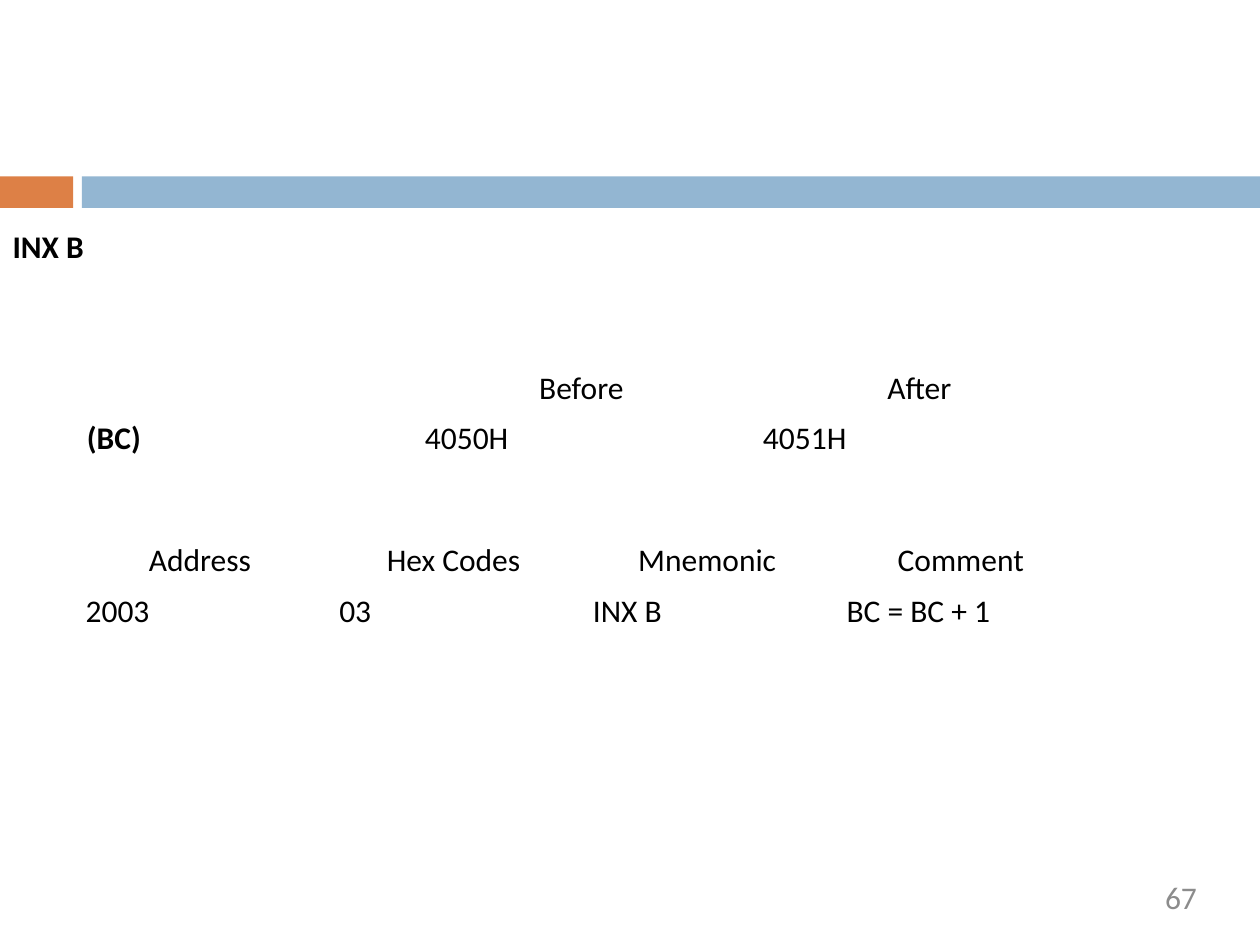
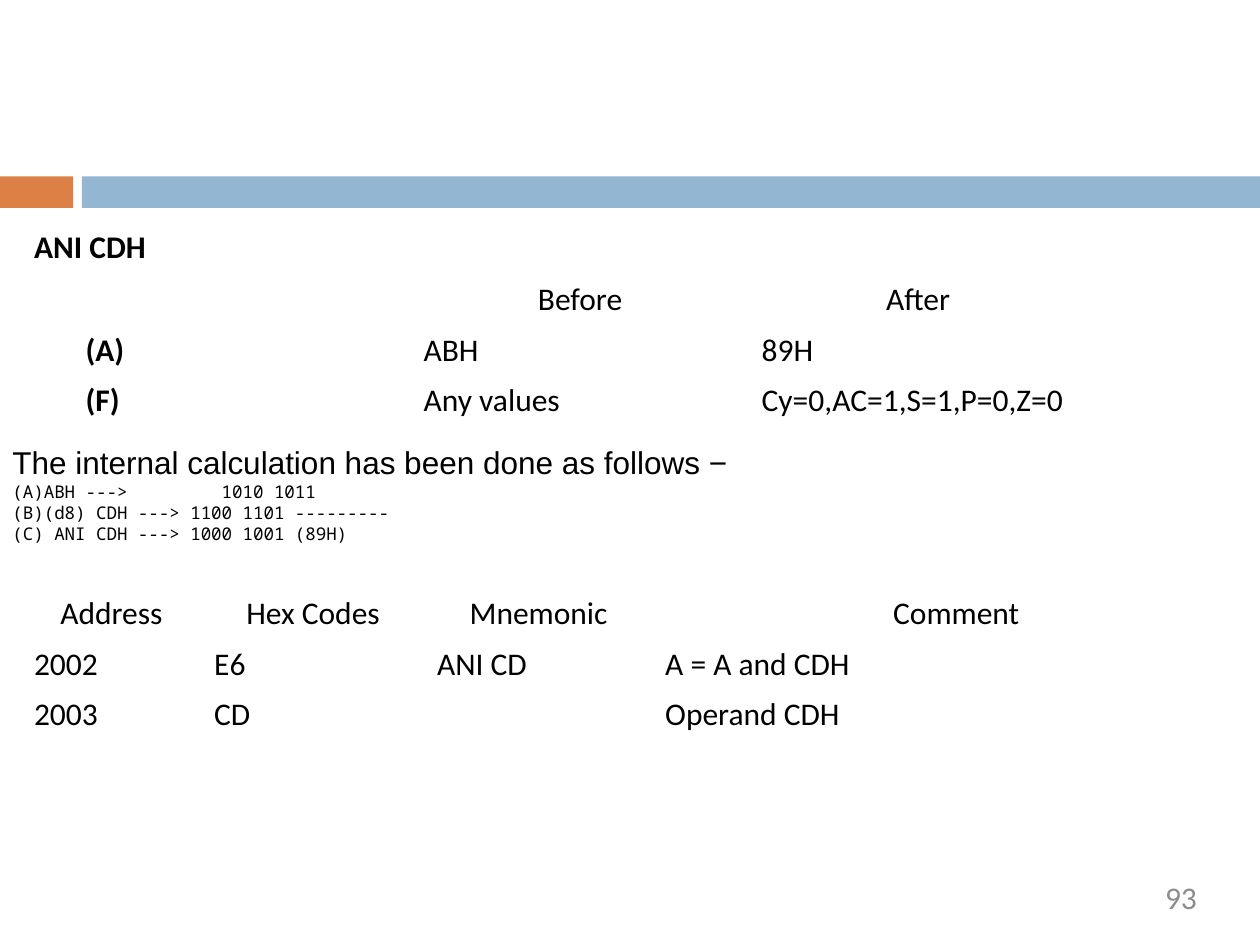
from dataclasses import dataclass

from lxml import etree
from pptx import Presentation
from pptx.dml.color import RGBColor as Color
from pptx.enum.shapes import MSO_SHAPE as Shape
from pptx.enum.text import MSO_ANCHOR as Anchor, MSO_AUTO_SIZE as AutoSize, PP_ALIGN as Align
from pptx.oxml.ns import qn
from pptx.util import Inches, Pt


@dataclass(frozen=True)
class Theme:
    orange: str = "DD8046"
    blue: str = "93B6D2"
    black: str = "000000"
    grey: str = "8C8C8C"
    body_font: str = "Calibri"
    note_font: str = "Arial"
    code_font: str = "Noto Sans Mono"
    body_size: int = 18
    code_size: int = 10


def apply(target, values):
    for name, value in values.items():
        setattr(target, name, value)


class DeckBuilder:
    """Places elements on a grid of 100 columns by 75 rows."""

    COLUMNS, ROWS = 100, 75
    TABLE_ROW = 4  # height of one table row, in grid rows

    def __init__(self, theme):
        self.theme = theme
        self.presentation = Presentation()
        apply(self.presentation, {"slide_width": Inches(10), "slide_height": Inches(7.5)})
        self.slide = None

    def box(self, left, top, width, height):
        column = self.presentation.slide_width / self.COLUMNS
        row = self.presentation.slide_height / self.ROWS
        return [round(value) for value in
                (left * column, top * row, width * column, height * row)]

    def add_text(self, paragraph, text, align=Align.LEFT, font=None, size=None, color=None, bold=False):
        theme = self.theme
        paragraph.alignment = align
        run = paragraph.add_run()
        run.text = text
        apply(run.font, {"name": font or theme.body_font,
                         "size": Pt(size or theme.body_size), "bold": bold})
        run.font.color.rgb = Color.from_string(color or theme.black)

    def start_slide(self, title, title_left, title_width, number):
        layout = self.presentation.slide_layouts.get_by_name("Title Only")
        self.slide = self.presentation.slides.add_slide(layout)
        self.band(0, 5.8, self.theme.orange)
        self.band(6.5, 93.5, self.theme.blue)
        self.title(title, title_left, title_width)
        self.page_number(number)

    def band(self, left, width, color):
        shape = self.slide.shapes.add_shape(Shape.RECTANGLE, *self.box(left, 14, width, 2.5))
        shape.shadow.inherit = False
        shape.fill.solid()
        shape.fill.fore_color.rgb = Color.from_string(color)
        shape.line.fill.background()

    def title(self, text, left, width):
        shape = self.slide.shapes.title
        apply(shape, dict(zip(("left", "top", "width", "height"),
                              self.box(left, 17.5, width, 4))))
        apply(shape.text_frame, {"word_wrap": False, "auto_size": AutoSize.NONE,
                                 "vertical_anchor": Anchor.TOP})
        self.add_text(shape.text_frame.paragraphs[0], text, bold=True)

    def text_frame(self, area, **values):
        frame = self.slide.shapes.add_textbox(*self.box(*area)).text_frame
        apply(frame, values)
        return frame

    def page_number(self, number):
        frame = self.text_frame((72, 69.7, 23, 3.8), word_wrap=True, margin_left=0,
                                margin_top=0, margin_right=0, margin_bottom=0)
        self.add_text(frame.paragraphs[0], str(number), Align.RIGHT, color=self.theme.grey)

    def table(self, left, top, widths, rows, bold_labels=False):
        area = self.box(left, top, sum(widths), self.TABLE_ROW * len(rows))
        table = self.slide.shapes.add_table(len(rows), len(widths), *area).table
        apply(table, {"first_row": False, "horz_banding": False})
        for column, width in zip(table.columns, widths):
            column.width = self.box(0, 0, width, 0)[2]
        for row_index, row in enumerate(rows):
            for column_index, text in enumerate(row):
                cell = table.cell(row_index, column_index)
                cell.fill.background()
                cell.vertical_anchor = Anchor.MIDDLE
                if text:
                    self.add_text(cell.text_frame.paragraphs[0], text,
                                  Align.LEFT if row_index else Align.CENTER,
                                  bold=bold_labels and column_index == 0)

    def lettered_code(self, area, intro, lines):
        theme = self.theme
        frame = self.text_frame(area, word_wrap=False, vertical_anchor=Anchor.MIDDLE)
        self.add_text(frame.paragraphs[0], intro, font=theme.note_font)
        for line in lines:
            paragraph = frame.add_paragraph()
            properties = paragraph._p.get_or_add_pPr()
            properties.set("marL", str(Inches(0.25)))
            properties.set("indent", str(-Inches(0.25)))
            bullet = etree.SubElement(properties, qn("a:buAutoNum"))
            bullet.set("type", "alphaUcParenBoth")
            self.add_text(paragraph, line, font=theme.code_font, size=theme.code_size)


def main():
    deck = DeckBuilder(Theme())
    state_header = ("", "Before", "After")
    program_header = ("Address", "Hex Codes", "Mnemonic", "Comment")
    state_widths = [26.83] * 3

    # Increment a register pair
    deck.start_slide("INX B", 0, 8.3, 67)
    deck.table(5.9, 28.8, state_widths,
               [state_header, ("(BC)", "4050H", "4051H")], bold_labels=True)
    deck.table(5.8, 42.5, [20.13] * 4,
               [program_header, ("2003", "03", "INX B", "BC = BC + 1")])

    # AND with immediate data
    deck.start_slide("ANI CDH", 1.7, 11.6, 93)
    deck.table(5.8, 21.8, state_widths,
               [state_header, ("(A)", "ABH", "89H"),
                ("(F)", "Any values", "Cy=0,AC=1,S=1,P=0,Z=0")], bold_labels=True)
    deck.lettered_code((0, 34.6, 59.3, 9.1),
                       "The internal calculation has been done as follows −",
                       ["ABH --->         1010 1011",
                        "(d8) CDH ---> 1100 1101 ---------",
                        " ANI CDH ---> 1000 1001 (89H)"])
    deck.table(1.7, 46.7, [14.3, 17.7, 18.1, 48.2],
               [program_header, ("2002", "E6", "ANI CD", "A = A and CDH"),
                ("2003", "CD", "", "Operand CDH")])

    deck.presentation.save("out.pptx")


if __name__ == "__main__":
    main()
